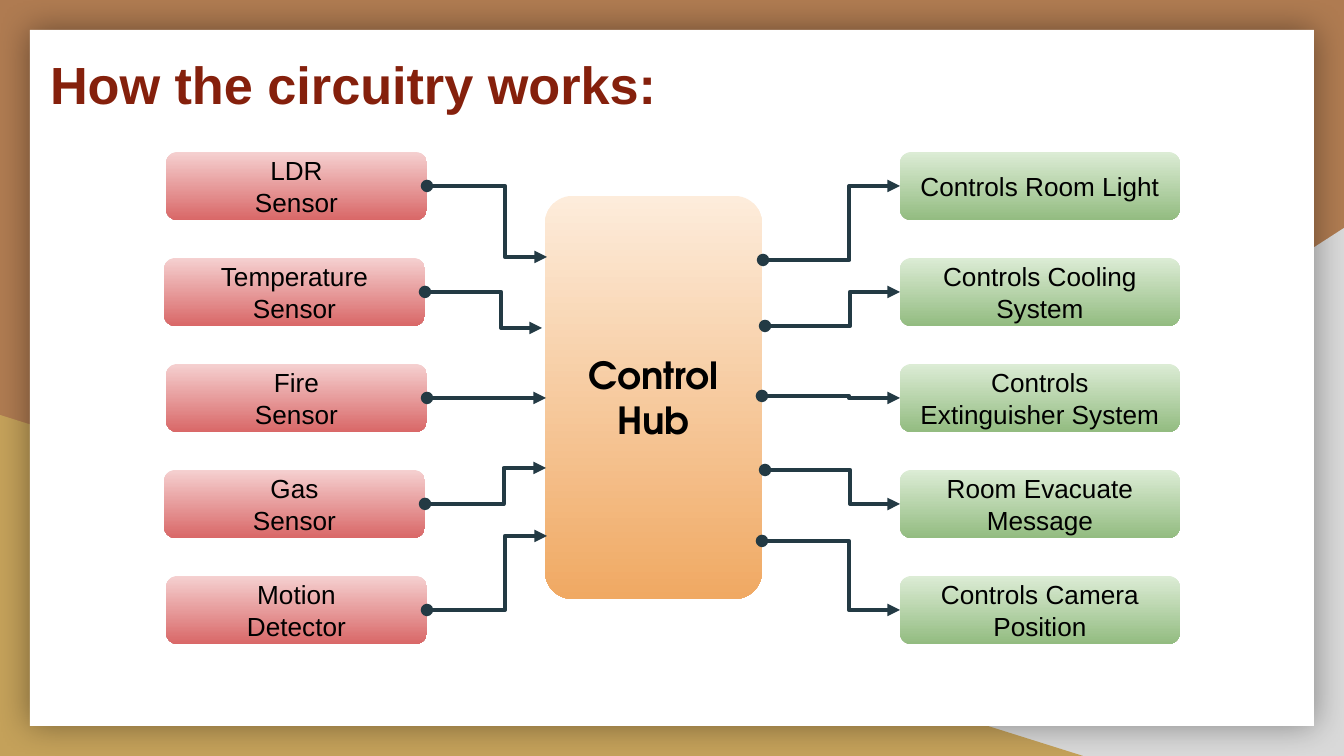
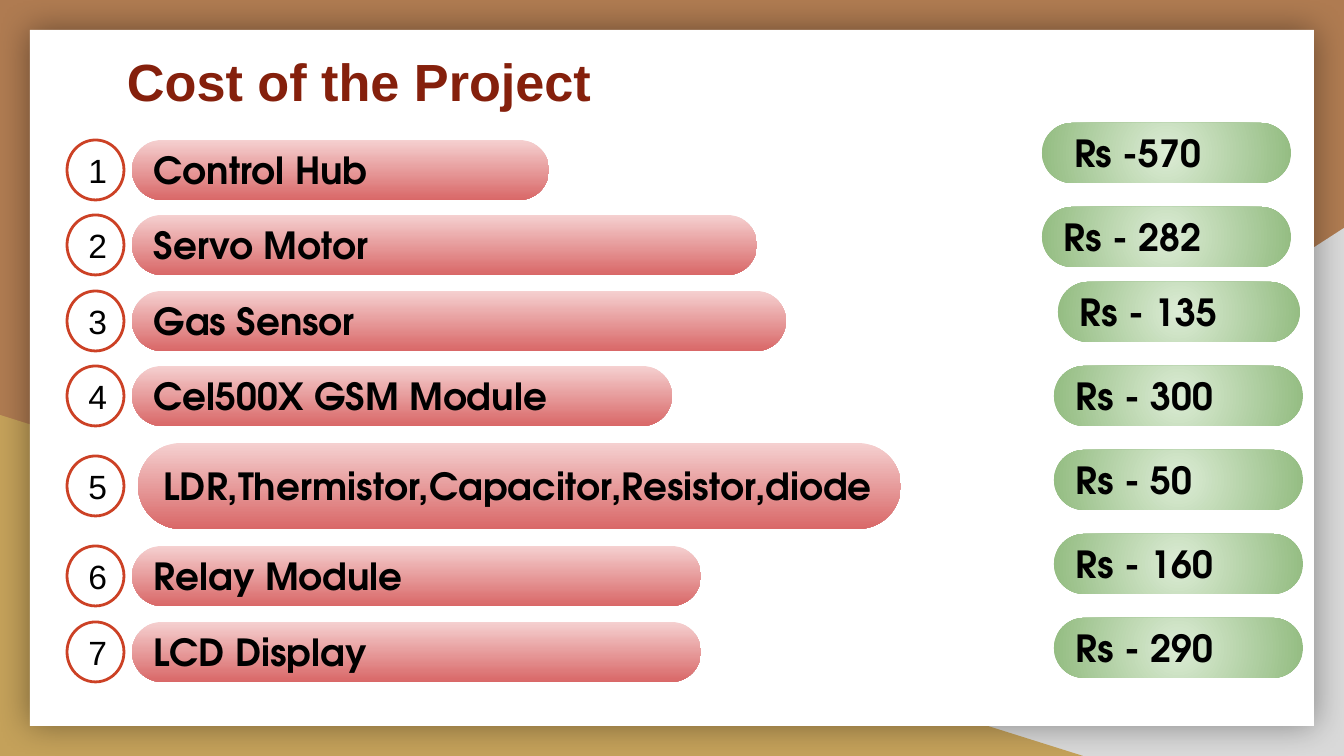
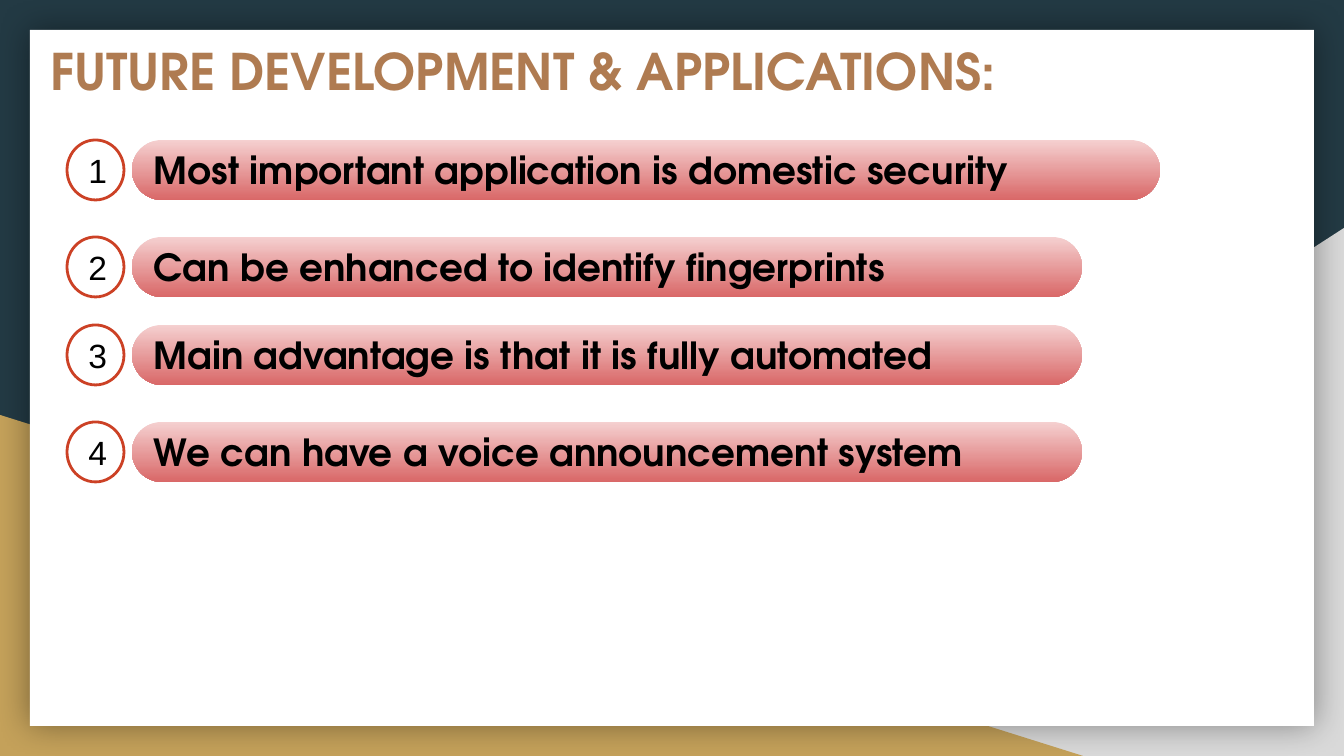
import pptx
import pptx.util
from pptx.dml.color import RGBColor
from pptx.enum.shapes import MSO_CONNECTOR, MSO_SHAPE
from pptx.enum.text import MSO_ANCHOR, PP_ALIGN
from pptx.oxml.ns import qn
from lxml import etree

PX = 914400 / 134.4
W, H = 1344, 756
COLORS = {
    "brown": "AF7B51", "navy": "233A44", "grey": "D9D9D9", "gold": "C4A15A",
    "white": "FFFFFF", "black": "000000", "maroon": "85200C", "ring": "CC4125",
    "red_light": "F5D0D0", "red": "D96868",
    "green_light": "DCECD5", "green": "93BC81",
    "orange_light": "FDECDB", "orange": "F0A963",
}
BODY, DISPLAY = "Arial", "TeX Gyre Adventor"
INSET = 13
PILL_H = 60


def px(n):
    return pptx.util.Emu(round(n * PX))


def rgb(name):
    return RGBColor.from_string(COLORS[name])


def child(parent, tag, **attrs):
    """Append a DrawingML element with the given attributes."""
    el = etree.SubElement(parent, qn(tag))
    for key, value in attrs.items():
        el.set(key, str(value))
    return el


def write(sp, text, size=14, font=BODY, color="black", bold=False,
          align=PP_ALIGN.LEFT, anchor=MSO_ANCHOR.MIDDLE):
    """Fill a shape with text, one paragraph per line."""
    tf = sp.text_frame
    tf.word_wrap = True
    tf.vertical_anchor = anchor
    tf.margin_left = tf.margin_right = tf.margin_top = tf.margin_bottom = px(INSET)
    for i, line in enumerate(text.split("\n")):
        p = tf.add_paragraph() if i else tf.paragraphs[0]
        p.alignment = align
        r = p.add_run()
        r.text = line
        r.font.size = pptx.util.Pt(size)
        r.font.name = font
        r.font.bold = bold
        r.font.color.rgb = rgb(color)


def add_shape(s, kind, x, y, w, h, fill=None, line=None, radius=None):
    """Add a preset shape; fill is a colour name, a pair for a gradient, or None."""
    sp = s.shapes.add_shape(kind, px(x), px(y), px(w), px(h))
    sp.shadow.inherit = False
    if radius is not None:
        sp.adjustments[0] = radius
    if fill is None:
        sp.fill.background()
    elif isinstance(fill, tuple):
        sp.fill.gradient()
        sp.fill.gradient_angle = 270
        for stop, name in zip(sp.fill.gradient_stops, fill):
            stop.color.rgb = rgb(name)
    else:
        sp.fill.solid()
        sp.fill.fore_color.rgb = rgb(fill)
    if line:
        sp.line.color.rgb = rgb(line)
        sp.line.width = pptx.util.Pt(1.5)
    else:
        sp.line.fill.background()
    return sp


def make_radial(sp):
    """Turn a linear gradient into one that spreads from the centre."""
    grad = sp._element.spPr.find(qn("a:gradFill"))
    grad.remove(grad.find(qn("a:lin")))
    circle = child(grad, "a:path", path="circle")
    child(circle, "a:fillToRect", l=50000, t=50000, r=50000, b=50000)


def add_slide(prs, background):
    """Add a slide with the two corner triangles and the white sheet."""
    s = prs.slides.add_slide(prs.slide_layouts[6])
    s.background.fill.solid()
    s.background.fill.fore_color.rgb = rgb(background)
    corner = add_shape(s, MSO_SHAPE.RIGHT_TRIANGLE, 527, 228, W - 527, H - 228, "grey")
    corner._element.spPr.find(qn("a:xfrm")).set("flipH", "1")
    add_shape(s, MSO_SHAPE.RIGHT_TRIANGLE, 0, 415, 1083, H - 415, "gold")
    sheet = add_shape(s, MSO_SHAPE.RECTANGLE, 30, 30, W - 60, H - 60, "white")
    effects = sheet._element.spPr.find(qn("a:effectLst"))
    shadow = child(effects, "a:outerShdw", blurRad=pptx.util.Pt(18), dist=0,
                   algn="ctr", rotWithShape=0)
    child(child(shadow, "a:srgbClr", val=COLORS["black"]), "a:alpha", val=40000)
    return s


def add_title(s, text, x, y, w, h, size=28, color="maroon", **fmt):
    tb = s.shapes.add_textbox(px(x), px(y), px(w), px(h))
    write(tb, text, size=size, color=color, bold=True, **fmt)


def add_box(s, text, x, y, w, h, tint):
    sp = add_shape(s, MSO_SHAPE.ROUNDED_RECTANGLE, x, y, w, h,
                   (tint + "_light", tint), radius=0.167)
    write(sp, text, align=PP_ALIGN.CENTER)


def add_elbow(s, x1, y1, x2, y2, bend):
    """Bent arrow with a round start; bend is the turn's share of the width."""
    c = s.shapes.add_connector(MSO_CONNECTOR.ELBOW, px(x1), px(y1), px(x2), px(y2))
    c.line.color.rgb = rgb("navy")
    c.line.width = pptx.util.Pt(2.25)
    spPr = c._element.spPr
    child(spPr.find(qn("a:prstGeom")).find(qn("a:avLst")), "a:gd",
          name="adj1", fmla=f"val {round(bend * 100000)}")
    ln = spPr.find(qn("a:ln"))
    child(ln, "a:headEnd", type="oval")
    child(ln, "a:tailEnd", type="triangle")
    child(spPr, "a:effectLst")


def add_pill(s, text, x, y, w, h=PILL_H, tint="red"):
    sp = add_shape(s, MSO_SHAPE.ROUNDED_RECTANGLE, x, y, w, h,
                   (tint + "_light", tint), radius=0.5)
    write(sp, text, size=20, font=DISPLAY, bold=True)
    return sp


def add_item(s, number, text, y, w, x=132, h=PILL_H):
    """Numbered ring with a pill centred beside it."""
    add_pill(s, text, x, y + (PILL_H - h) / 2, w, h)
    ring = add_shape(s, MSO_SHAPE.OVAL, 67, y, 57, PILL_H, line="ring")
    write(ring, str(number), size=18)


def circuit_slide(prs):
    s = add_slide(prs, "brown")
    add_title(s, "How the circuitry works:", 37, 31, 1100, 106)
    board = add_shape(s, MSO_SHAPE.ROUNDED_RECTANGLE, 545, 196, 217, 403,
                      ("orange_light", "orange"), radius=0.126)
    write(board, "Control\nHub", size=20, font=DISPLAY, bold=True,
          align=PP_ALIGN.CENTER)

    top, step, box_h = 152, 106, 68
    sensor_w, output_x, output_w = 261, 900, 280
    sensors = [  # text, box left, arrow end x and y
        ("LDR\nSensor", 166, 547, 257),
        ("Temperature\nSensor", 164, 542, 328),
        ("Fire\nSensor", 166, 546, 398),
        ("Gas\nSensor", 164, 546, 468),
        ("Motion\nDetector", 166, 547, 536),
    ]
    outputs = [  # text, arrow start x and y
        ("Controls Room Light", 763, 260),
        ("Controls Cooling System", 765, 326),
        ("Controls Extinguisher System", 762, 396),
        ("Room Evacuate\nMessage", 765, 470),
        ("Controls Camera Position", 762, 541),
    ]
    for i, (text, x, end_x, end_y) in enumerate(sensors):
        y = top + i * step
        add_box(s, text, x, y, sensor_w, box_h, "red")
        add_elbow(s, x + sensor_w, y + box_h / 2, end_x, end_y, 0.65)
    for i, (text, start_x, start_y) in enumerate(outputs):
        y = top + i * step
        add_box(s, text, output_x, y, output_w, box_h, "green")
        add_elbow(s, start_x, start_y, output_x, y + box_h / 2, 0.63)


def cost_slide(prs):
    s = add_slide(prs, "brown")
    add_title(s, "Cost of the Project", 114, 14, 1100, 133)
    items = [  # text, top, pill width, other pill sizes
        ("Control Hub", 140, 417, {}),
        ("Servo Motor", 215, 625, {}),
        ("Gas Sensor", 291, 654, {}),
        ("Cel500X GSM Module", 366, 540, {}),
        ("LDR,Thermistor,Capacitor,Resistor,diode", 456, 763, {"x": 138, "h": 86}),
        ("Relay Module", 546, 569, {}),
        ("LCD Display", 622, 569, {}),
    ]
    prices = [  # text, left, top, width
        (" Rs -570", 1042, 123, 249),
        ("Rs - 282", 1042, 207, 249),
        ("Rs - 135", 1058, 282, 242),
        ("Rs - 300", 1054, 366, 249),
        ("Rs - 50", 1054, 450, 249),
        ("Rs - 160", 1054, 534, 249),
        ("Rs - 290", 1054, 618, 249),
    ]
    for number, (text, y, w, sizes) in enumerate(items, 1):
        add_item(s, number, text, y, w, **sizes)
    for price in prices:
        make_radial(add_pill(s, *price, tint="green"))


def future_slide(prs):
    s = add_slide(prs, "navy")
    add_title(s, "FUTURE DEVELOPMENT & APPLICATIONS:", 37, 27, 1103, 94, size=27,
              color="brown", font=DISPLAY, anchor=MSO_ANCHOR.TOP)
    items = [
        ("Most important application is domestic security", 140, 1028),
        ("Can be enhanced to identify fingerprints", 237, 950),
        ("Main advantage is that it is fully automated", 325, 950),
        ("We can have a voice announcement system", 422, 950),
    ]
    for number, item in enumerate(items, 1):
        add_item(s, number, *item)


def main():
    prs = pptx.Presentation()
    prs.slide_width, prs.slide_height = px(W), px(H)
    circuit_slide(prs)
    cost_slide(prs)
    future_slide(prs)
    prs.save("out.pptx")


if __name__ == "__main__":
    main()
